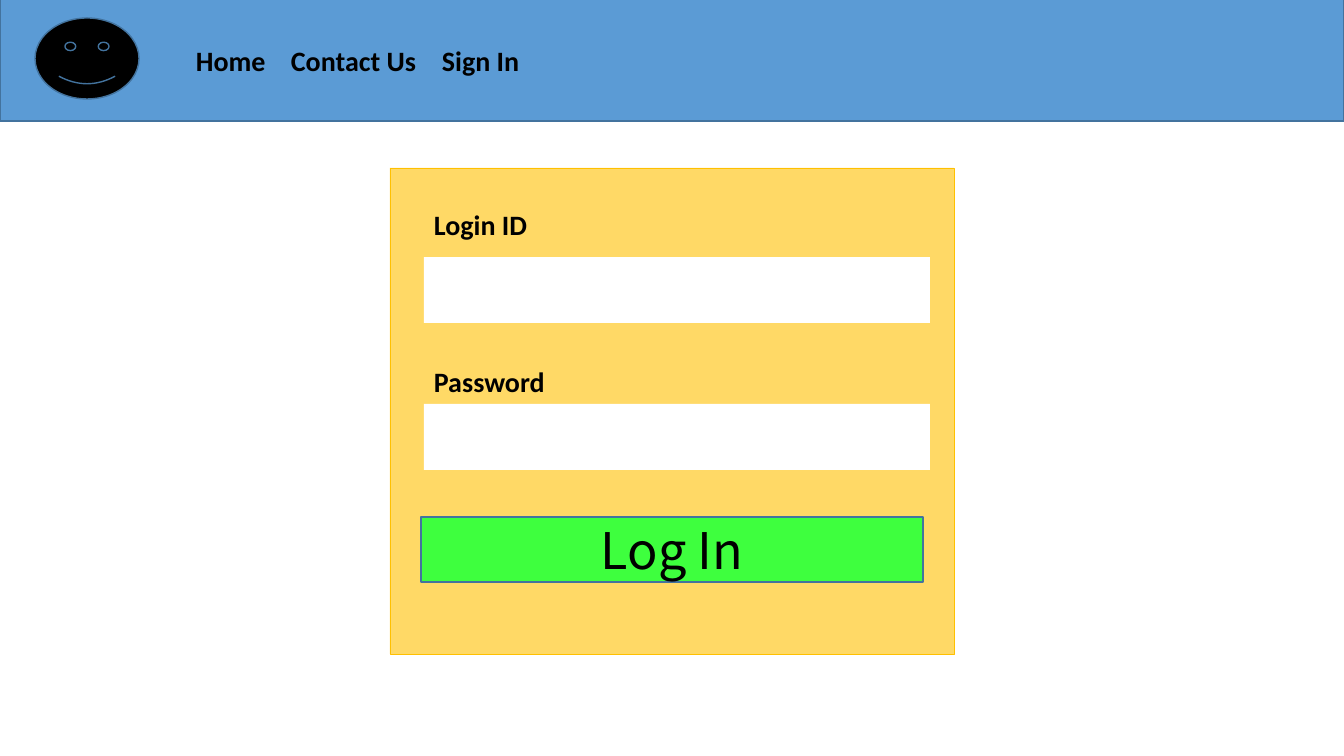
from dataclasses import dataclass

from lxml import etree
from pptx import Presentation
from pptx.dml.color import RGBColor
from pptx.enum.shapes import MSO_SHAPE
from pptx.enum.text import MSO_ANCHOR, PP_ALIGN
from pptx.oxml.ns import qn
from pptx.util import Pt

RECTANGLE, SMILEY = MSO_SHAPE.RECTANGLE, MSO_SHAPE.SMILEY_FACE
MIDDLE, CENTER = MSO_ANCHOR.MIDDLE, PP_ALIGN.CENTER
EMU_PER_PIXEL = 914400 / 100.8
BLANK_LAYOUT = 6


@dataclass(frozen=True)
class Theme:
    """Colours, fonts and type sizes of the login page."""
    ink: str = "000000"
    field: str = "FFFFFF"
    panel: str = "FFD966"
    panel_edge: str = "FFC000"
    button: str = "3EFF3E"
    banner: str = "5B9BD5"
    edge: str = "43739E"
    label_font: str = "Calibri"
    button_font: str = "Noto Sans CJK JP"
    label_size: int = 20
    button_size: int = 36


THEME = Theme()


def px(pixels):
    """Convert pixels to EMU."""
    return round(pixels * EMU_PER_PIXEL)


def add_block(slide, kind, box, fill, edge=None, edge_width=1):
    """Add a filled preset shape, outlined only if an edge colour is given."""
    block = slide.shapes.add_shape(kind, *map(px, box))
    block.shadow.inherit = False
    block.fill.solid()
    block.fill.fore_color.rgb = RGBColor.from_string(fill)
    if edge:
        block.line.color.rgb = RGBColor.from_string(edge)
        block.line.width = Pt(edge_width)
    else:
        block.line.fill.background()
    return block


def write(frame, text, font, size, bold=False):
    """Put one line of text in a frame and return its paragraph."""
    frame.word_wrap = True
    frame.text = text
    line = frame.paragraphs[0]
    for run in line.runs:
        run.font.name, run.font.size, run.font.bold = font, Pt(size), bold
        run.font.color.rgb = RGBColor.from_string(THEME.ink)
    return line


def add_label(slide, box, text):
    """Add a bold text box and return its paragraph."""
    frame = slide.shapes.add_textbox(*map(px, box)).text_frame
    return write(frame, text, THEME.label_font, THEME.label_size, bold=True)


def login_panel(slide, box):
    """Draw the login form: two labelled fields and a button."""
    left, top, _, _ = box
    add_block(slide, RECTANGLE, box, THEME.panel, THEME.panel_edge, 0.5)
    for caption, label_top, field_top in (("Login ID", 35, 89), ("Password", 192, 236)):
        add_block(slide, RECTANGLE, (left + 34, top + field_top, 506, 66), THEME.field)
        add_label(slide, (left + 34, top + label_top, 245, 44), caption)
    button = add_block(slide, RECTANGLE, (left + 31, top + 349, 502, 65),
                       THEME.button, THEME.edge)
    button.text_frame.vertical_anchor = MIDDLE
    write(button.text_frame, "Log In", THEME.button_font,
          THEME.button_size).alignment = CENTER


def banner(slide, box):
    """Draw the top banner with its face and a menu spaced by tab stops."""
    left, top, _, _ = box
    add_block(slide, RECTANGLE, box, THEME.banner, THEME.edge)
    add_block(slide, SMILEY, (left + 35, top + 22, 104, 81), THEME.ink, THEME.edge)
    menu = add_label(slide, (left + 186, top + 43, 827, 44), "Home\tContact Us\tSign In")
    stops = etree.SubElement(menu._p.get_or_add_pPr(), qn("a:tabLst"))
    for stop in (95, 246):
        etree.SubElement(stops, qn("a:tab"), pos=str(px(stop)), algn="l")


def main():
    """Build and save the login page."""
    deck = Presentation()
    deck.slide_width, deck.slide_height = px(1344), px(756)
    slide = deck.slides.add_slide(deck.slide_layouts[BLANK_LAYOUT])
    login_panel(slide, (390, 168, 564, 486))
    banner(slide, (0, -4, 1344, 125))
    deck.save("out.pptx")


main()
